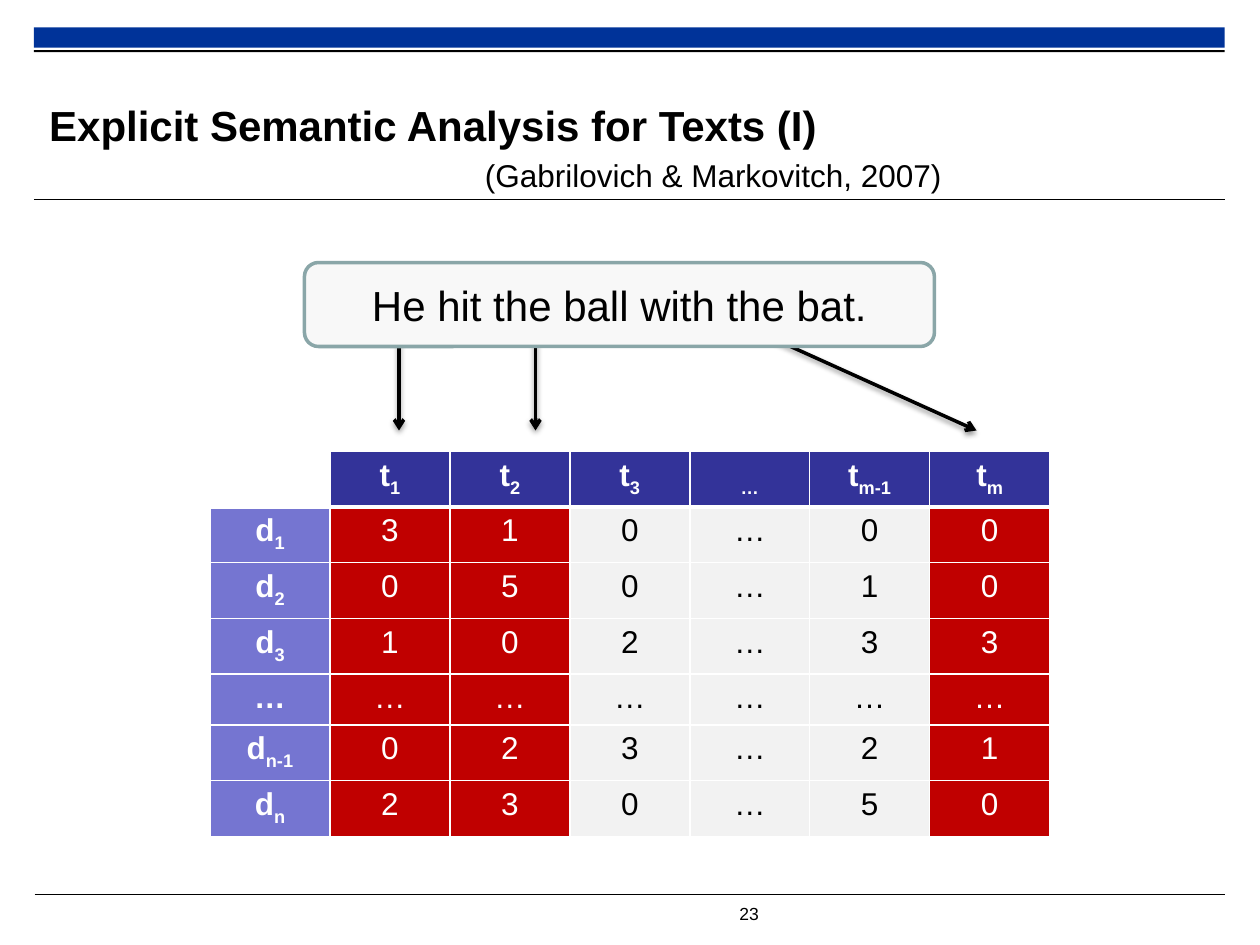
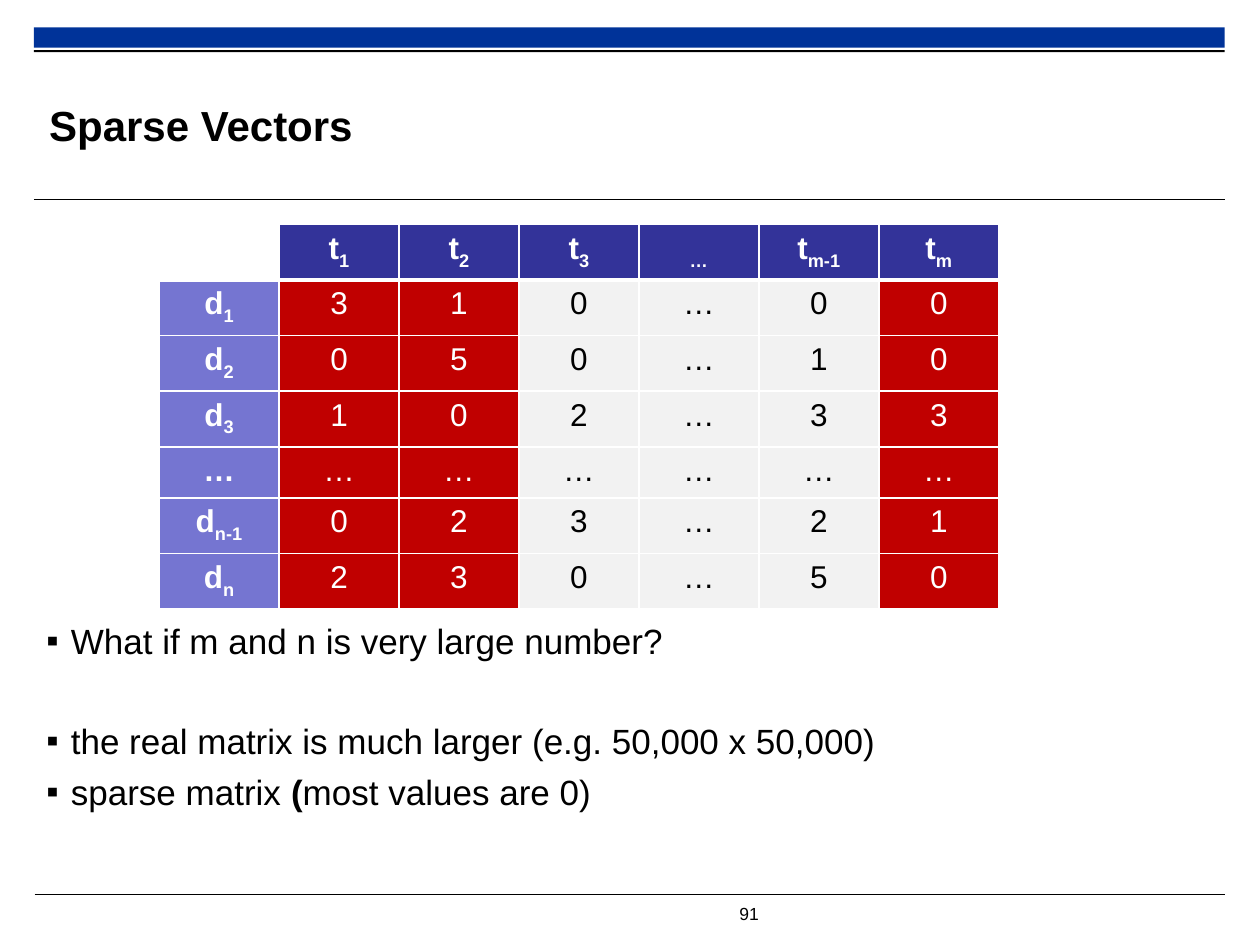
"""Build two slides on term vectors with a shared frame and matrix."""
from typing import NamedTuple

from lxml.etree import SubElement
from pptx import Presentation
from pptx.dml.color import RGBColor
from pptx.enum.shapes import MSO_CONNECTOR, MSO_SHAPE
from pptx.enum.text import MSO_ANCHOR, PP_ALIGN
from pptx.oxml.ns import qn
from pptx.util import Pt

BLACK = RGBColor(0x00, 0x00, 0x00)
WHITE = RGBColor(0xFF, 0xFF, 0xFF)
BLUE = RGBColor(0x00, 0x33, 0x99)
NAVY = RGBColor(0x33, 0x33, 0x99)
LILAC = RGBColor(0x75, 0x75, 0xD1)
RED = RGBColor(0xC0, 0x00, 0x00)
PALE = RGBColor(0xF2, 0xF2, 0xF2)
CLOUD = RGBColor(0xF8, 0xF8, 0xF8)
SAGE = RGBColor(0x8A, 0xA6, 0xA8)
FONT = "Arial"
HIT_COLS = (1, 2, 6)
COL_W, ROW_H = 68.57, 29.2
MATRIX = (
    ("", "t_1", "t_2", "t_3", "_…", "t_m-1", "t_m"),
    ("d_1", "3", "1", "0", "…", "0", "0"),
    ("d_2", "0", "5", "0", "…", "1", "0"),
    ("d_3", "1", "0", "2", "…", "3", "3"),
    ("…", "…", "…", "…", "…", "…", "…"),
    ("d_n-1", "0", "2", "3", "…", "2", "1"),
    ("d_n", "2", "3", "0", "…", "5", "0"),
)


class Box(NamedTuple):
    """Place and size in points."""
    left: float
    top: float
    width: float
    height: float

    def pts(self) -> list:
        """Return the four lengths for python-pptx."""
        return [Pt(val) for val in self]


class Line(NamedTuple):
    """Ends of a straight line in points."""
    x1: float
    y1: float
    x2: float
    y2: float


class Point(NamedTuple):
    """A bullet with the gap above it and its (text, bold) bits."""
    gap: float
    bits: tuple


BANDS = ((Box(19.4, 15.6, 680.4, 11.6), BLUE), (Box(19.4, 28.6, 680.4, 1.2), BLACK))
RULES = (Line(19.4, 114.2, 699.8, 114.2), Line(19.8, 511, 700.2, 511))
ARROWS = (
    Line(228, 192, 228, 246),
    Line(306, 192, 306, 246),
    Line(438.5, 192, 558, 246),
)
POINTS = (
    Point(0, (("What if m and n is very large number?", False),)),
    Point(33, (("the real matrix is much larger (e.g. 50,000 x 50,000)", False),)),
    Point(5, (("sparse matrix ", False), ("(", True), ("most values are 0)", False))),
)


def style(para, size: float, color: RGBColor = BLACK, bold: bool = False) -> None:
    """Set the font of a whole paragraph."""
    font = para.font
    font.name, font.size, font.bold = FONT, Pt(size), bold
    font.color.rgb = color


def add_text(slide, box: Box, text: str, size: float, bold: bool = False):
    """Add a one-paragraph text box and return its frame."""
    frame = slide.shapes.add_textbox(*box.pts()).text_frame
    frame.word_wrap = True
    frame.text = text
    style(frame.paragraphs[0], size, bold=bold)
    return frame


def add_block(slide, kind: MSO_SHAPE, box: Box, fill: RGBColor):
    """Add a filled shape without line or shadow."""
    shape = slide.shapes.add_shape(kind, *box.pts())
    shape.shadow.inherit = False
    shape.fill.solid()
    shape.fill.fore_color.rgb = fill
    shape.line.fill.background()
    return shape


def add_line(slide, line: Line, width: float):
    """Add a black line and return it with its empty effect list."""
    wire = slide.shapes.add_connector(MSO_CONNECTOR.STRAIGHT, *map(Pt, line))
    wire.line.color.rgb = BLACK
    wire.line.width = Pt(width)
    return wire, SubElement(wire._element.spPr, qn("a:effectLst"))


def add_arrow(slide, line: Line) -> None:
    """Add an arrow with a soft shadow below it."""
    wire, effects = add_line(slide, line, 2)
    SubElement(wire._element.spPr.find(qn("a:ln")), qn("a:tailEnd"), type="arrow")
    shade = SubElement(effects, qn("a:outerShdw"), blurRad=str(Pt(3.1)),
                       dist=str(Pt(1.6)), dir="5400000", rotWithShape="0")
    color = SubElement(shade, qn("a:srgbClr"), val=str(BLACK))
    SubElement(color, qn("a:alpha"), val="38000")


def add_edges(cell, top: float, bottom: float) -> None:
    """Draw white borders round a cell."""
    props = cell._tc.get_or_add_tcPr()
    for side, width in (("L", 1), ("R", 1), ("T", top), ("B", bottom)):
        edge = SubElement(props, qn(f"a:ln{side}"), w=str(Pt(width)))
        fill = SubElement(edge, qn("a:solidFill"))
        SubElement(fill, qn("a:srgbClr"), val=str(WHITE))


def cell_look(row: int, col: int) -> tuple:
    """Return fill and text colour by place in the matrix."""
    if row == 0:
        return (NAVY if col else WHITE), WHITE
    if col == 0:
        return LILAC, WHITE
    return (RED, WHITE) if col in HIT_COLS else (PALE, BLACK)


def add_matrix(slide, left: float, top: float) -> None:
    """Add the document-term table."""
    count = len(MATRIX)
    box = Box(left, top, COL_W * count, ROW_H * count)
    table = slide.shapes.add_table(count, count, *box.pts()).table
    table.horz_banding = False
    for row, texts in enumerate(MATRIX):
        table.rows[row].height = Pt(ROW_H)
        table.columns[row].width = Pt(COL_W)
        for col, text in enumerate(texts):
            cell = table.cell(row, col)
            add_edges(cell, 3 if row == 1 else 1, 1 if row else 3)
            fill, color = cell_look(row, col)
            cell.fill.solid()
            cell.fill.fore_color.rgb = fill
            para = cell.text_frame.paragraphs[0]
            para.alignment = PP_ALIGN.CENTER
            style(para, 18, color, bold=row == 0 or col == 0)
            base, _, sub = text.partition("_")
            if base:
                para.add_run().text = base
            if sub:
                run = para.add_run()
                run.text = sub
                run._r.get_or_add_rPr().set("baseline", "-25000")


def add_points(slide, box: Box) -> None:
    """Add the bullet list."""
    frame = slide.shapes.add_textbox(*box.pts()).text_frame
    frame.word_wrap = True
    for num, point in enumerate(POINTS):
        para = frame.add_paragraph() if num else frame.paragraphs[0]
        para.space_before = Pt(point.gap)
        props = para._p.get_or_add_pPr()
        props.set("marL", str(Pt(14)))
        props.set("indent", str(Pt(-14)))
        SubElement(props, qn("a:buFont"), typeface=FONT)
        SubElement(props, qn("a:buChar"), char="▪")
        style(para, 20)
        for text, bold in point.bits:
            run = para.add_run()
            run.text = text
            if bold:
                run.font.bold = True


def add_frame(deck, title: str, number: int):
    """Add a slide with bands, rules, title and number."""
    slide = deck.slides.add_slide(deck.slide_layouts[6])
    for box, fill in BANDS:
        add_block(slide, MSO_SHAPE.RECTANGLE, box, fill)
    for rule in RULES:
        add_line(slide, rule, 0.6)
    add_text(slide, Box(415.4, 512.6, 34.6, 19.4), str(number), 10)
    head = add_text(slide, Box(28.1, 38.2, 511.9, 66.2), title, 24, True)
    head.vertical_anchor = MSO_ANCHOR.MIDDLE
    head.margin_left = head.margin_right = head.margin_top = head.margin_bottom = 0
    return slide


def add_quote(slide) -> None:
    """Add the rounded box with the sample sentence."""
    quote = add_block(slide, MSO_SHAPE.ROUNDED_RECTANGLE, Box(174, 150, 360, 48), CLOUD)
    quote.line.color.rgb = SAGE
    quote.line.width = Pt(2)
    frame = quote.text_frame
    frame.text = "He hit the ball with the bat."
    frame.vertical_anchor = MSO_ANCHOR.MIDDLE
    para = frame.paragraphs[0]
    para.alignment = PP_ALIGN.CENTER
    style(para, 24)


def main() -> None:
    """Build and save the deck."""
    deck = Presentation()
    deck.slide_width, deck.slide_height = Pt(720), Pt(540)

    texts = add_frame(deck, "Explicit Semantic Analysis for Texts (I)", 23)
    add_matrix(texts, 120, 258)
    for arrow in ARROWS:
        add_arrow(texts, arrow)
    add_quote(texts)
    add_text(texts, Box(270, 85.7, 280, 51), "(Gabrilovich & Markovitch, 2007)", 18)

    sparse = add_frame(deck, "Sparse Vectors", 91)
    add_points(sparse, Box(19.4, 350.7, 680.4, 151.9))
    add_matrix(sparse, 90.9, 128.2)

    deck.save("out.pptx")


if __name__ == "__main__":
    main()
